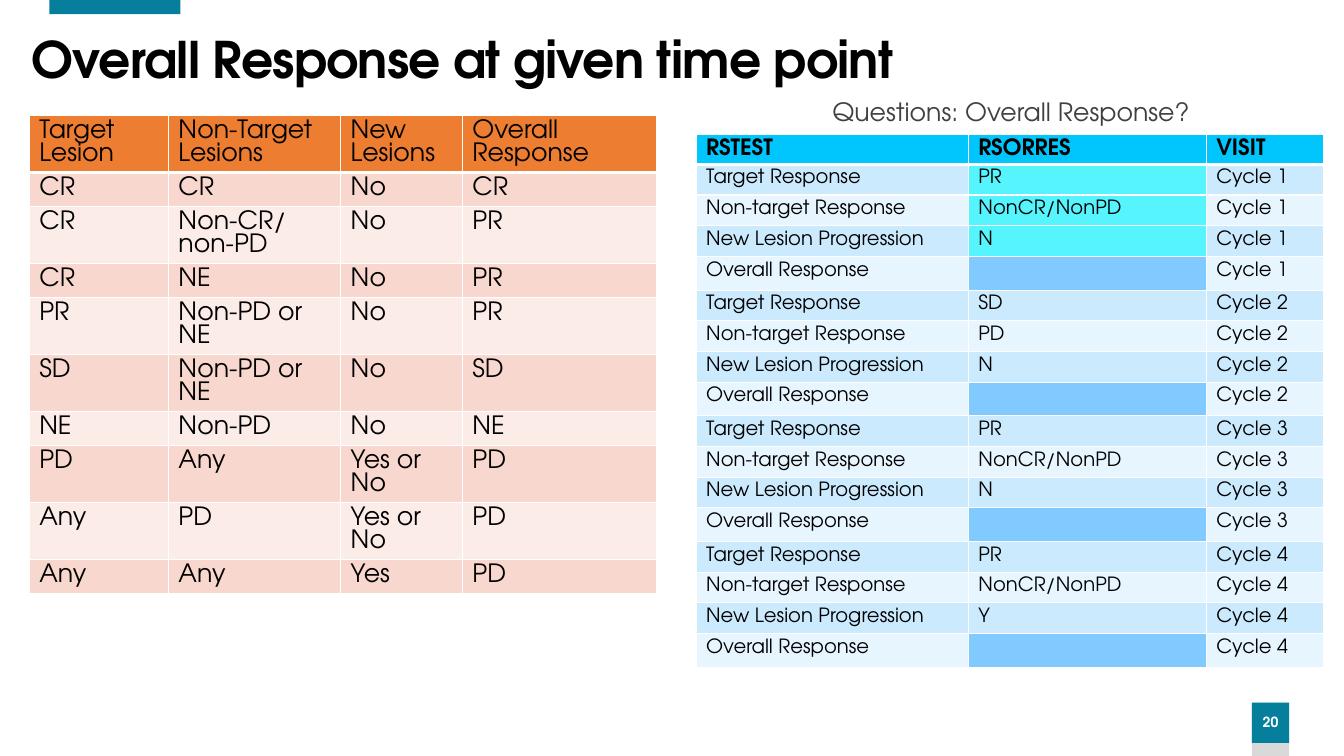
from lxml import etree
from pptx import Presentation
from pptx.dml.color import RGBColor
from pptx.enum.shapes import MSO_SHAPE
from pptx.enum.text import MSO_ANCHOR, PP_ALIGN
from pptx.oxml.ns import qn
from pptx.util import Pt

RECTANGLE = MSO_SHAPE.RECTANGLE
MIDDLE = MSO_ANCHOR.MIDDLE
CENTER = PP_ALIGN.CENTER

FONT = "TeX Gyre Adventor"
BLACK = RGBColor(0x00, 0x00, 0x00)
WHITE = RGBColor(0xFF, 0xFF, 0xFF)
GRAY_TEXT = RGBColor(0x40, 0x40, 0x40)
LIGHT_GRAY = RGBColor(0xD9, 0xD9, 0xD9)
TEAL = RGBColor(0x06, 0x7F, 0x9C)
ORANGE = RGBColor(0xED, 0x7D, 0x31)
PEACH = RGBColor(0xF8, 0xD7, 0xCE)
PALE_PEACH = RGBColor(0xFC, 0xEC, 0xE8)
BRIGHT_BLUE = RGBColor(0x01, 0xC6, 0xFD)
LIGHT_BLUE = RGBColor(0xCC, 0xEA, 0xFE)
PALE_BLUE = RGBColor(0xE7, 0xF5, 0xFF)
CYAN = RGBColor(0x56, 0xF5, 0xFD)
ANSWER_BLUE = RGBColor(0x80, 0xCA, 0xFF)

LINE_HEIGHTS = {14: 13, 16: 14.2, 18: 16.5}

RESPONSE_RULES = [
    ["Target Lesion", "Non-Target Lesions", "New Lesions", "Overall Response"],
    ["CR", "CR", "No", "CR"],
    ["CR", "Non-CR/non-PD", "No", "PR"],
    ["CR", "NE", "No", "PR"],
    ["PR", "Non-PD or NE", "No", "PR"],
    ["SD", "Non-PD or NE", "No", "SD"],
    ["NE", "Non-PD", "No", "NE"],
    ["PD", "Any", "Yes or No", "PD"],
    ["Any", "PD", "Yes or No", "PD"],
    ["Any", "Any", "Yes", "PD"],
]
TWO_LINE_ROWS = {0, 2, 4, 5, 7, 8}

TESTS = ["Target Response", "Non-target Response", "New Lesion Progression", "Overall Response"]
CYCLE_RESULTS = [
    ["PR", "NonCR/NonPD", "N", ""],
    ["SD", "PD", "N", ""],
    ["PR", "NonCR/NonPD", "N", ""],
    ["PR", "NonCR/NonPD", "Y", ""],
]


def set_attributes(target, values):
    for name, value in values.items():
        setattr(target, name, value)


def add_run(paragraph, text, size, color, bold=False):
    run = paragraph.add_run()
    run.text = text
    set_attributes(run.font, {"name": FONT, "size": Pt(size), "bold": bold})
    run.font.color.rgb = color
    return run


def add_block(slide, left, top, width, height, color):
    block = slide.shapes.add_shape(RECTANGLE, Pt(left), Pt(top), Pt(width), Pt(height))
    block.shadow.inherit = False
    block.fill.solid()
    block.fill.fore_color.rgb = color
    block.line.fill.background()
    return block


def add_text(slide, box, text, size, color, bold=False, frame_format=None, paragraph_format=None):
    text_box = slide.shapes.add_textbox(*[Pt(length) for length in box])
    frame = text_box.text_frame
    set_attributes(frame, {"word_wrap": True, **(frame_format or {})})
    paragraph = frame.paragraphs[0]
    set_attributes(paragraph, paragraph_format or {})
    return add_run(paragraph, text, size, color, bold)


def add_page_number(slide, number):
    block = add_block(slide, 894.24, 501.84, 26.64, 28.8, TEAL)
    frame = block.text_frame
    set_attributes(frame, {"margin_left": 0, "margin_right": 0, "vertical_anchor": MIDDLE})
    paragraph = frame.paragraphs[0]
    set_attributes(paragraph, {"alignment": CENTER, "line_spacing": 0.9, "space_before": Pt(10)})
    add_run(paragraph, number, 10, WHITE, True)


def set_borders(cell, widths):
    properties = cell._tc.get_or_add_tcPr()
    for index, (side, width) in enumerate(widths.items()):
        line = etree.Element(qn(f"a:ln{side}"), w=str(Pt(width)))
        fill = etree.SubElement(line, qn("a:solidFill"))
        etree.SubElement(fill, qn("a:srgbClr"), val=str(WHITE))
        properties.insert(index, line)


def fill_cell(cell, text, size, bold, color):
    cell.fill.solid()
    cell.fill.fore_color.rgb = color
    paragraph = cell.text_frame.paragraphs[0]
    paragraph.line_spacing = Pt(LINE_HEIGHTS[size])
    if text:
        add_run(paragraph, text, size, BLACK, bold)
    else:
        end = etree.SubElement(paragraph._p, qn("a:endParaRPr"), sz=str(size * 100))
        etree.SubElement(end, qn("a:latin"), typeface=FONT)


def add_table(slide, left, top, widths, heights, rows, header_size, body_size, header_bold, pick_color):
    frame = slide.shapes.add_table(
        len(rows), len(widths), Pt(left), Pt(top), Pt(sum(widths)), Pt(sum(heights))
    )
    table = frame.table
    for column, width in zip(table.columns, widths):
        column.width = Pt(width)
    for row_index, texts in enumerate(rows):
        table.rows[row_index].height = Pt(heights[row_index])
        is_header = row_index == 0
        size = header_size if is_header else body_size
        borders = {"L": 1, "R": 1, "T": 1, "B": 3} if is_header else {"L": 1, "R": 1, "B": 1}
        for column_index, text in enumerate(texts):
            cell = table.cell(row_index, column_index)
            color = pick_color(row_index, column_index)
            fill_cell(cell, text, size, is_header and header_bold, color)
            set_borders(cell, borders)


def rule_color(row, column):
    if row == 0:
        return ORANGE
    return PEACH if row % 2 else PALE_PEACH


def visit_color(row, column):
    if row == 0:
        return BRIGHT_BLUE
    if column == 1 and row % len(TESTS) == 0:
        return ANSWER_BLUE
    if column == 1 and row < len(TESTS):
        return CYAN
    return LIGHT_BLUE if row % 2 else PALE_BLUE


def main():
    presentation = Presentation()
    set_attributes(presentation, {"slide_width": Pt(960), "slide_height": Pt(540)})
    slide = presentation.slides.add_slide(presentation.slide_layouts[6])

    add_block(slide, 894.24, 501.84, 26.64, 38.16, LIGHT_GRAY)
    add_page_number(slide, "20")
    add_block(slide, 35.28, 0, 93.6, 10.08, TEAL)

    title = add_text(
        slide, (15.4, 15.4, 740.88, 58.32), "Overall Response at given time point", 36, BLACK, True,
        {"vertical_anchor": MIDDLE}, {"line_spacing": 0.9},
    )
    title.font._element.set("spc", "-60")
    add_text(
        slide, (587.52, 65.52, 318.24, 41.04), "Questions: Overall Response?", 18, GRAY_TEXT,
        paragraph_format={"space_before": Pt(6), "space_after": Pt(12)},
    )

    rule_heights = [40.7 if row in TWO_LINE_ROWS else 24.3 for row in range(len(RESPONSE_RULES))]
    add_table(
        slide, 20.9, 82.6, [99.4, 123, 87, 138.6], rule_heights, RESPONSE_RULES, 18, 18, False, rule_color
    )

    visit_rows = [["RSTEST", "RSORRES", "VISIT"]]
    for cycle, results in enumerate(CYCLE_RESULTS, 1):
        visit_rows += [[test, result, f"Cycle {cycle}"] for test, result in zip(TESTS, results)]
    visit_heights = [21.4] + [21.92] * (len(visit_rows) - 1)
    add_table(
        slide, 497.2, 96, [194.4, 170, 83.6], visit_heights, visit_rows, 16, 14, True, visit_color
    )

    presentation.save("out.pptx")


if __name__ == "__main__":
    main()
